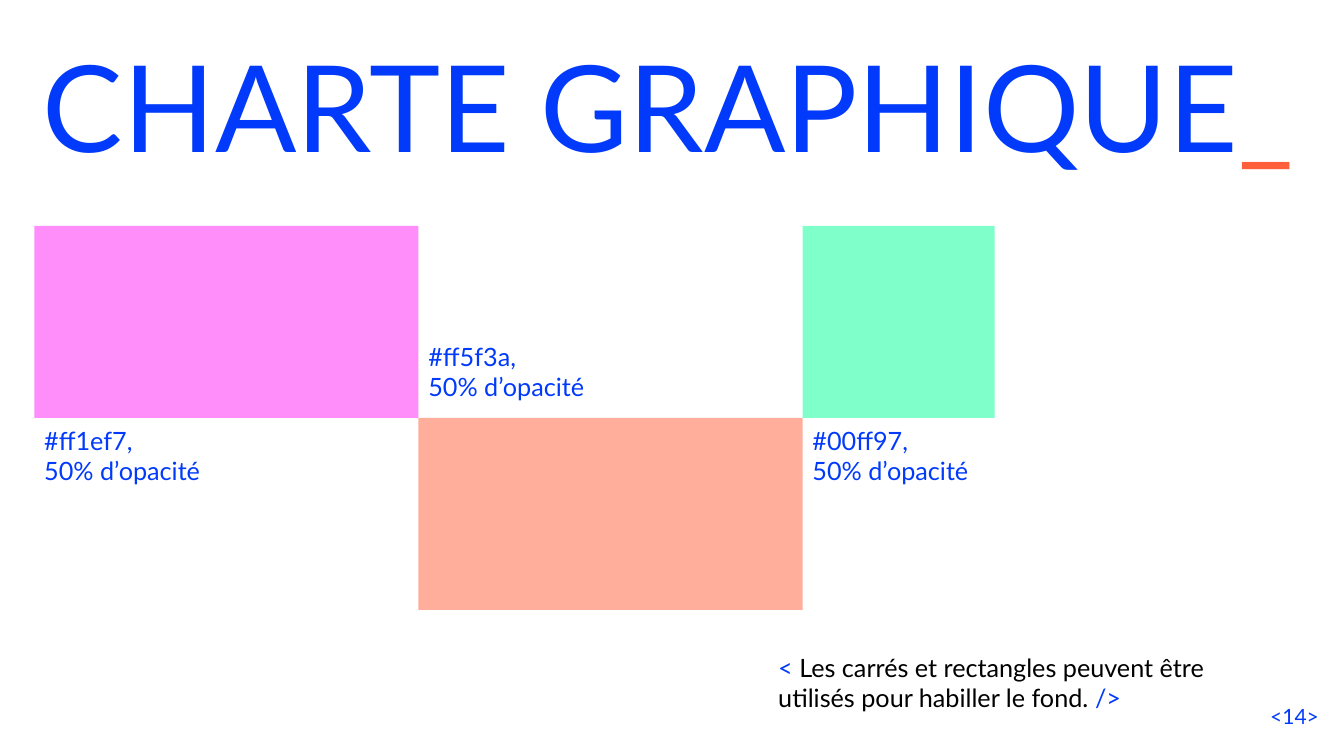
from pptx import Presentation
from pptx.dml.color import RGBColor
from pptx.enum.shapes import MSO_SHAPE
from pptx.enum.text import MSO_ANCHOR, PP_ALIGN
from pptx.oxml.ns import qn
from pptx.util import Inches, Pt
from lxml.etree import SubElement

BLUE, CORAL, BLACK = "013AFB", "FF5F3A", "000000"
SIDE = 3.81 / 2


def paint(target, color):
    target.rgb = RGBColor.from_string(color.upper())


def write(slide, box, lines, size, anchor=MSO_ANCHOR.TOP, align=PP_ALIGN.LEFT, inset=0.1):
    frame = slide.shapes.add_textbox(*map(Inches, box)).text_frame
    frame.word_wrap = True
    frame.vertical_anchor = anchor
    frame.margin_left = frame.margin_right = Inches(0.1)
    frame.margin_top = frame.margin_bottom = Inches(inset)
    for index, runs in enumerate(lines):
        line = frame.add_paragraph() if index else frame.paragraphs[0]
        line.alignment = align
        line.font.name = "Lato"
        line.font.size = Pt(size)
        for text, color in runs:
            run = line.add_run()
            run.text = text
            paint(run.font.color, color)
    return frame


def title(slide, box):
    runs = [("CHARTE GRAPHIQUE", BLUE), ("_", CORAL)]
    frame = write(slide, box, [runs], 86, MSO_ANCHOR.MIDDLE, PP_ALIGN.CENTER, 0.05)
    frame.paragraphs[0].line_spacing = 0.9


def swatch(slide, box, code, drop, high):
    left, top, width, height = box
    block = slide.shapes.add_shape(MSO_SHAPE.RECTANGLE, *map(Inches, box))
    block.shadow.inherit = False
    block.line.fill.background()
    block.fill.solid()
    paint(block.fill.fore_color, code)
    tint = block.fill._xPr.find(qn("a:solidFill"))[0]
    SubElement(tint, qn("a:alpha"), val="50000")
    lines = [[(f"#{code},", BLUE)], [("50% d’opacité", BLUE)]]
    write(slide, (left, top + drop, 1.95, high), lines, 18)


def palette(slide, box):
    left, top, width, height = box
    below, above = (1.88, 0.49), (-0.86, 0.7)
    swatches = [
        ("00ff97", 4, 0, 1, below),
        ("ff5f3a", 2, 1, 2, above),
        ("ff1ef7", 0, 0, 2, below),
    ]
    for code, col, row, span, label in swatches:
        place = (left + col * SIDE, top + row * SIDE, span * SIDE, SIDE)
        swatch(slide, place, code, *label)


def advice(slide, box):
    runs = [
        ("< ", BLUE),
        ("Les carrés et rectangles peuvent être utilisés pour habiller le fond. ", BLACK),
        ("/>", BLUE),
    ]
    write(slide, box, [runs], 18, MSO_ANCHOR.BOTTOM)


def folio(slide, box):
    write(slide, box, [[("<14>", BLUE)]], 15, MSO_ANCHOR.MIDDLE, PP_ALIGN.RIGHT, 0.05)


def main():
    deck = Presentation()
    deck.slide_width, deck.slide_height = Inches(13.33), Inches(7.5)
    slide = deck.slides.add_slide(deck.slide_layouts[6])
    folio(slide, (10.18, 6.9, 3, 0.4))
    title(slide, (0.13, 0.4, 13, 1.45))
    palette(slide, (0.34, 2.24, 5 * SIDE, 2 * SIDE))
    advice(slide, (7.62, 6.44, 4.61, 0.73))
    deck.save("out.pptx")


if __name__ == "__main__":
    main()
